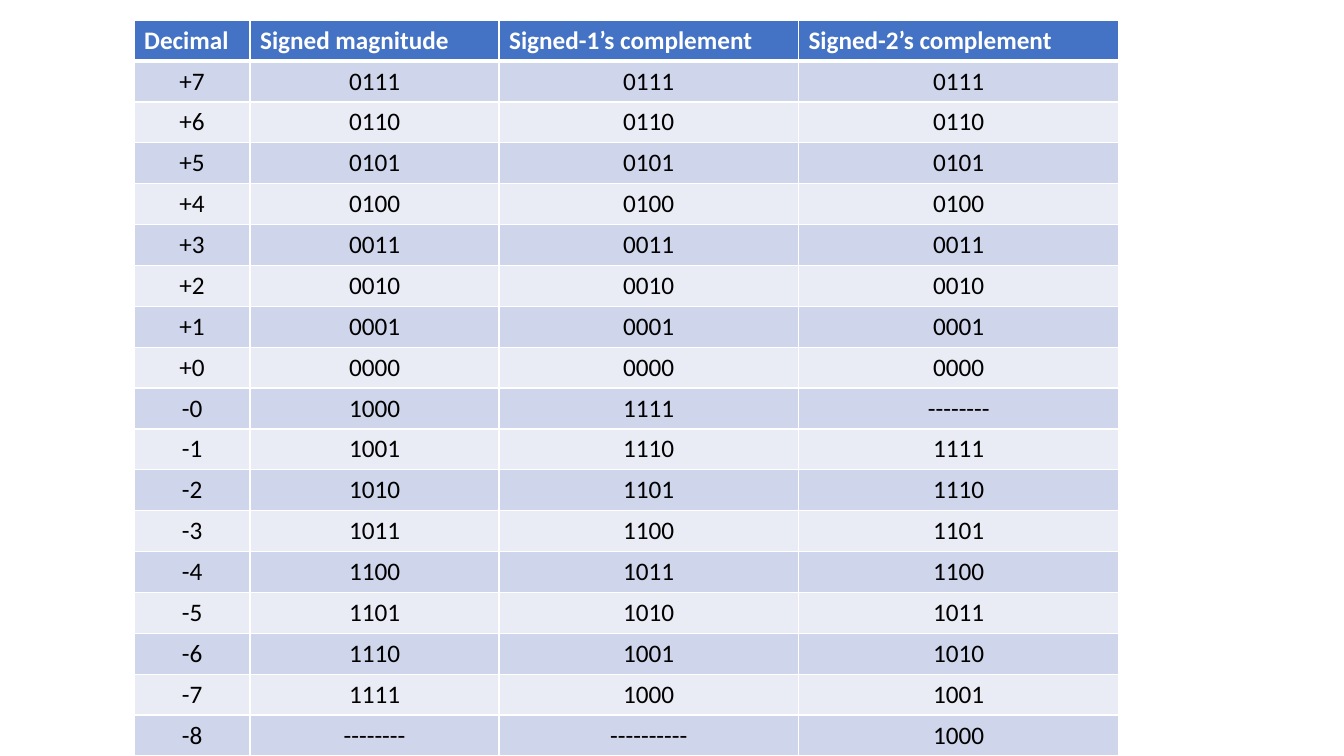
from lxml.etree import SubElement
from pptx import Presentation
from pptx.dml.color import RGBColor
from pptx.enum.text import PP_ALIGN
from pptx.oxml.ns import qn
from pptx.util import Inches, Pt

WHITE = RGBColor(0xFF, 0xFF, 0xFF)
BLACK = RGBColor(0x00, 0x00, 0x00)
BLUE = RGBColor(0x44, 0x72, 0xC4)
DARK = RGBColor(0xCF, 0xD5, 0xEA)
LIGHT = RGBColor(0xE9, 0xEB, 0xF5)

WIDTHS = [1.15, 2.47, 2.97, 3.18]
HEADS = ["Decimal", "Signed magnitude",
         "Signed-1’s complement", "Signed-2’s complement"]
CODES = [
    ("+7", "0111", "0111", "0111"),
    ("+6", "0110", "0110", "0110"),
    ("+5", "0101", "0101", "0101"),
    ("+4", "0100", "0100", "0100"),
    ("+3", "0011", "0011", "0011"),
    ("+2", "0010", "0010", "0010"),
    ("+1", "0001", "0001", "0001"),
    ("+0", "0000", "0000", "0000"),
    ("-0", "1000", "1111", "--------"),
    ("-1", "1001", "1110", "1111"),
    ("-2", "1010", "1101", "1110"),
    ("-3", "1011", "1100", "1101"),
    ("-4", "1100", "1011", "1100"),
    ("-5", "1101", "1010", "1011"),
    ("-6", "1110", "1001", "1010"),
    ("-7", "1111", "1000", "1001"),
    ("-8", "--------", "----------", "1000"),
]


def add_edges(cell, top, bottom):
    """Draw white cell borders; widths are in points."""
    props = cell._tc.get_or_add_tcPr()
    for side, width in (("L", 1), ("R", 1), ("T", top), ("B", bottom)):
        line = SubElement(props, qn(f"a:ln{side}"), w=str(Pt(width)))
        fill = SubElement(line, qn("a:solidFill"))
        SubElement(fill, qn("a:srgbClr"), val=str(WHITE))


def fill_cell(cell, text, row):
    head = row == 0
    # Thick rule between the header and the first code row
    add_edges(cell, top=3 if row == 1 else 1, bottom=3 if head else 1)
    cell.fill.solid()
    cell.fill.fore_color.rgb = BLUE if head else DARK if row % 2 else LIGHT
    para = cell.text_frame.paragraphs[0]
    para.alignment = PP_ALIGN.LEFT if head else PP_ALIGN.CENTER
    run = para.add_run()
    run.text = text
    run.font.name = "Calibri"
    run.font.size = Pt(18)
    run.font.bold = head
    run.font.color.rgb = WHITE if head else BLACK


def add_codes(slide, left, top, width, height):
    """Place the table of signed number codes in the given box."""
    rows = [HEADS, *CODES]
    table = slide.shapes.add_table(
        len(rows), len(HEADS), Inches(left), Inches(top),
        Inches(width), Inches(height)).table
    for column, share in zip(table.columns, WIDTHS):
        column.width = Inches(width * share / sum(WIDTHS))
    for row, texts in enumerate(rows):
        table.rows[row].height = Inches(height / len(rows))
        for col, text in enumerate(texts):
            fill_cell(table.cell(row, col), text, row)


def main():
    deck = Presentation()
    deck.slide_width = Inches(13.33)
    deck.slide_height = Inches(7.5)
    slide = deck.slides.add_slide(deck.slide_layouts[6])
    add_codes(slide, 1.33, 0.2, 9.77, 7.3)
    deck.save("out.pptx")


if __name__ == "__main__":
    main()
